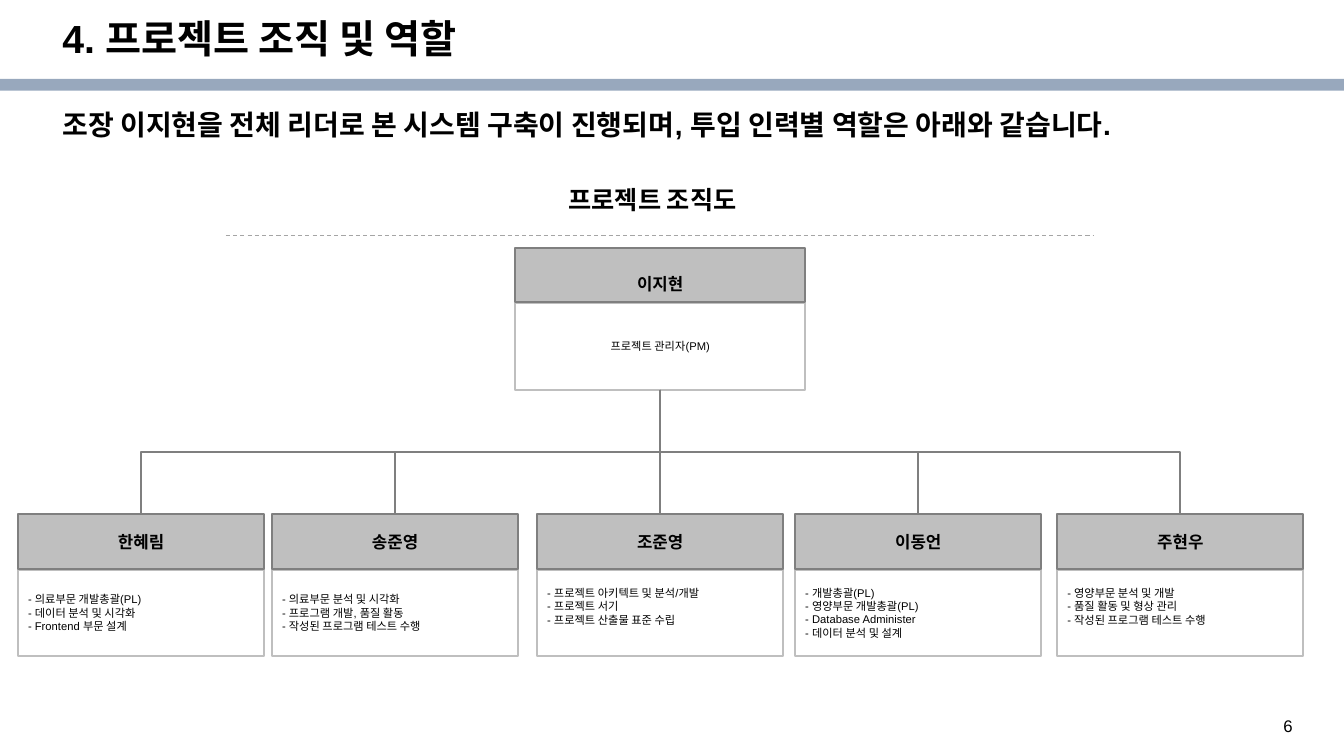
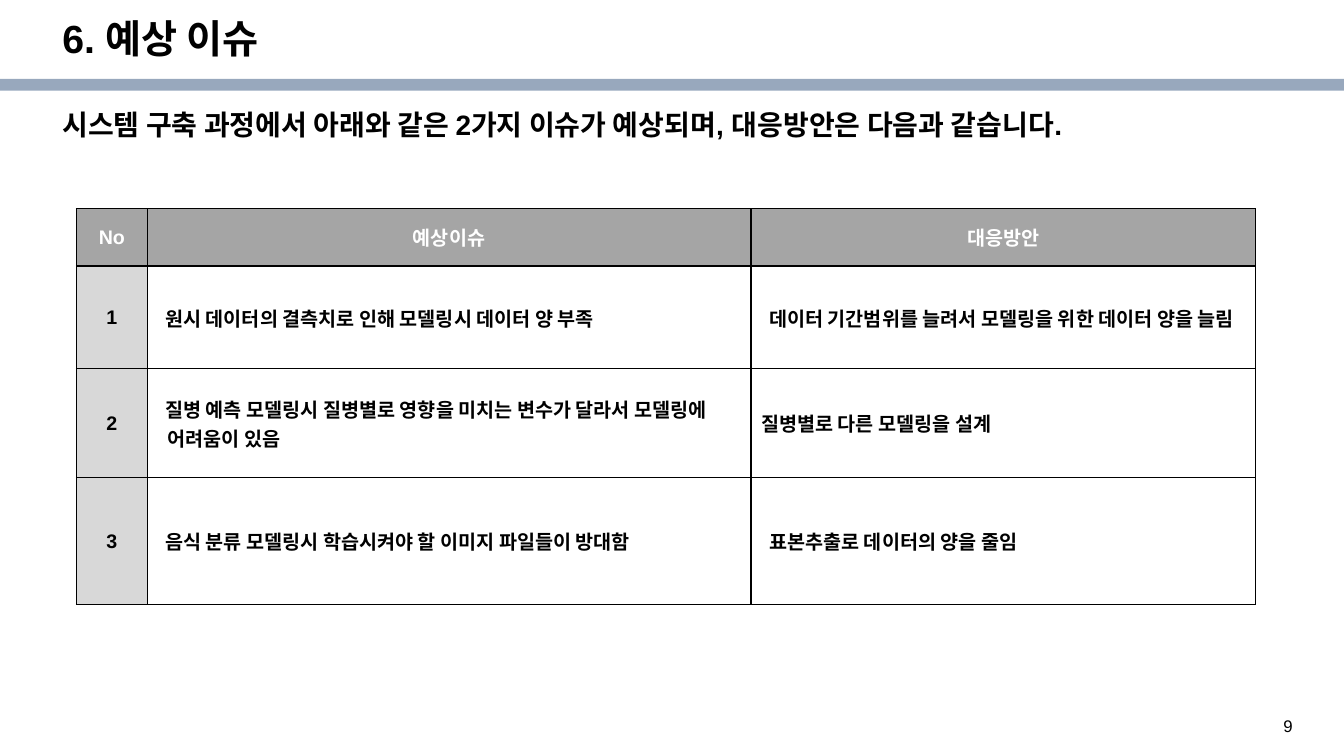
"""Build the project organisation and expected issues slides."""
from lxml import etree
from pptx import Presentation, util as u
from pptx.dml.color import RGBColor
from pptx.enum import dml, shapes, text
from pptx.oxml import ns

UNIT = u.Inches(1) // 12  # grid of 160 columns by 90 rows
COLS, ROWS = 160, 90
FONT = "Arial"
BLACK, WHITE, BAND = "000000", "FFFFFF", "98A8BD"
HEAD, NUMBER = "A5A5A5", "D8D8D8"
SILVER, GREY = "BFBFBF", "7F7F7F"
INSETS = (0.1, 0.05, 0.1, 0.05)
CENTER, MIDDLE = text.PP_ALIGN.CENTER, text.MSO_ANCHOR.MIDDLE

CARD_W, NAME_H, ROLE_TOP, ROLE_H = 29.28, 6.5, 6.6, 10.3
LEAD_W, LEAD_LEFT, LEAD_TOP, TEAM_TOP = 34.56, 61.32, 29.5, 61.2
LINE_GAP = 0.13  # inches, one line of role text

# left column, name, roles, lines left free below the roles
TEAM = [
    (2.16, "한혜림", ["- 의료부문 개발총괄(PL)", "- 데이터 분석 및 시각화",
                   "- Frontend 부문 설계"], 0),
    (32.4, "송준영", ["- 의료부문 분석 및 시각화", "- 프로그램 개발, 품질 활동",
                   "- 작성된 프로그램 테스트 수행"], 0),
    (63.96, "조준영", ["- 프로젝트 아키텍트 및 분석/개발", "- 프로젝트 서기",
                    "- 프로젝트 산출물 표준 수립"], 1),
    (94.68, "이동언", ["- 개발총괄(PL)", "- 영양부문 개발총괄(PL)",
                    "- Database Administer", "- 데이터 분석 및 설계"], 0),
    (125.88, "주현우", ["- 영양부문 분석 및 개발", "- 품질 활동 및 형상 관리",
                     "- 작성된 프로그램 테스트 수행"], 1),
]

ISSUE_COLS = [8.4, 71.9, 60.1]
ISSUE_ROWS = [6.84, 12.24, 12.96, 15.12]
ISSUES = [
    ("No", "예상이슈", "대응방안"),
    ("1", "원시 데이터의 결측치로 인해 모델링시 데이터 양 부족",
     "데이터 기간범위를 늘려서 모델링을 위한 데이터 양을 늘림"),
    ("2", "질병 예측 모델링시 질병별로 영향을 미치는 변수가 달라서 모델링에 어려움이 있음",
     "질병별로 다른 모델링을 설계"),
    ("3", "음식 분류 모델링시 학습시켜야 할 이미지 파일들이 방대함",
     "표본추출로 데이터의 양을 줄임"),
]
FLUSH_CELL = (2, 2)


def rgb(value):
    """Turn a hex string into a colour."""
    return RGBColor.from_string(value)


def grid(*values):
    """Turn grid columns or rows into lengths."""
    return [u.Emu(round(v * UNIT)) for v in values]


def apply(obj, **values):
    """Set several attributes of one object."""
    for name, value in values.items():
        setattr(obj, name, value)


def set_insets(obj, insets):
    """Set the margins, in inches, of a text frame or a cell."""
    sides = ("left", "top", "right", "bottom")
    apply(obj, **{f"margin_{k}": u.Inches(v) for k, v in zip(sides, insets)})


def write(tf, lines, size, bold=False, color=BLACK, **para):
    """Write one paragraph per line in one style."""
    for i, line in enumerate(lines):
        p = tf.paragraphs[0] if i == 0 else tf.add_paragraph()
        apply(p, **para)
        r = p.add_run()
        r.text = line
        apply(r.font, size=u.Pt(size), bold=bold, name=FONT)
        r.font.color.rgb = rgb(color)


def add_label(s, at, line, size, bold=True, **para):
    """Add a text box with one line of text."""
    tf = s.shapes.add_textbox(*grid(*at)).text_frame
    tf.word_wrap = True
    set_insets(tf, INSETS)
    write(tf, [line], size, bold, **para)


def add_box(s, at, fill=None, line=None):
    """Add a plain rectangle and return it."""
    sp = s.shapes.add_shape(shapes.MSO_SHAPE.RECTANGLE, *grid(*at))
    sp.shadow.inherit = False
    if fill:
        sp.fill.solid()
        sp.fill.fore_color.rgb = rgb(fill)
    else:
        sp.fill.background()
    if line:
        sp.line.color.rgb = rgb(line)
        sp.line.width = u.Pt(1.5)
    else:
        sp.line.fill.background()
    return sp


def add_text_box(s, at, lines, size, fill, line, insets=INSETS, bold=False,
                 align=CENTER):
    """Add an outlined rectangle with text centred in its height."""
    tf = add_box(s, at, fill, line).text_frame
    apply(tf, word_wrap=True, vertical_anchor=MIDDLE)
    set_insets(tf, insets)
    write(tf, lines, size, bold, alignment=align)


def add_card(s, left, top, width, name, roles, align, name_pad=0, role_pad=0):
    """Add a name box with a role box below; pads are extra insets."""
    x, y, right, bottom = INSETS
    add_text_box(s, (left, top + ROLE_TOP, width, ROLE_H), roles, 8, None,
                 SILVER, (x, y, right, bottom + role_pad), align=align)
    add_text_box(s, (left, top, width, NAME_H), [name], 12, SILVER, GREY,
                 (x, y + name_pad, right, bottom), bold=True)


def add_line(s, kind, ends, color, width):
    """Add a connector without a shadow and return it."""
    c = s.shapes.add_connector(kind, *grid(*ends))
    c.line.color.rgb = rgb(color)
    c.line.width = u.Pt(width)
    etree.SubElement(c._element.spPr, ns.qn("a:effectLst"))
    return c


def add_branch(s, x1, y1, x2, y2):
    """Add an elbow that runs down, across and down again."""
    drop, reach = y2 - y1, abs(x2 - x1)
    left, top = (x1 + x2 - drop) / 2, (y1 + y2 - reach) / 2
    c = add_line(s, shapes.MSO_CONNECTOR.ELBOW,
                 (left, top, left + drop, top + reach), GREY, 1.5)
    xfrm = c._element.spPr.find(ns.qn("a:xfrm"))
    turn = 90 if x2 < x1 else 270
    xfrm.set("rot", str(turn * 60000))
    if turn == 270:
        xfrm.set("flipH", "1")


def add_borders(cell):
    """Draw a black line on all four sides of a cell."""
    tc_pr = cell._tc.get_or_add_tcPr()
    for i, side in enumerate(("lnL", "lnR", "lnT", "lnB")):
        ln = etree.Element(ns.qn(f"a:{side}"), w=str(u.Pt(1)))
        fill = etree.SubElement(ln, ns.qn("a:solidFill"))
        etree.SubElement(fill, ns.qn("a:srgbClr"), val=BLACK)
        tc_pr.insert(i, ln)


def fill_cell(cell, row, col, line):
    """Style one cell of the issue table by its place."""
    fill = HEAD if row == 0 else NUMBER if col == 0 else None
    if fill:
        cell.fill.solid()
        cell.fill.fore_color.rgb = rgb(fill)
    else:
        cell.fill.background()
    side = 0.05 if row and col == 0 else 0.1
    edge = 0.05 if fill else 0.04
    set_insets(cell, (side, edge, side, edge))
    cell.vertical_anchor = MIDDLE
    write(cell.text_frame, [line], 14, True, BLACK if row else WHITE,
          alignment=CENTER if fill else text.PP_ALIGN.LEFT)
    if not fill and (row, col) != FLUSH_CELL:
        p_pr = cell.text_frame.paragraphs[0]._p.get_or_add_pPr()
        p_pr.set("marL", str(u.Inches(0.1)))
        p_pr.set("indent", str(u.Inches(-0.02)))
    add_borders(cell)


def add_issue_table(s, left, top):
    """Add the table of issues and responses."""
    frame = s.shapes.add_table(len(ISSUE_ROWS), len(ISSUE_COLS), *grid(
        left, top, sum(ISSUE_COLS), sum(ISSUE_ROWS)))
    table = frame.table
    apply(table, first_row=False, horz_banding=False)
    for column, width in zip(table.columns, grid(*ISSUE_COLS)):
        column.width = width
    for row, height in zip(table.rows, grid(*ISSUE_ROWS)):
        row.height = height
    for i, lines in enumerate(ISSUES):
        for j, line in enumerate(lines):
            fill_cell(table.cell(i, j), i, j, line)


def add_page(prs, title, message, number):
    """Add a slide with band, title, message and page number."""
    s = prs.slides.add_slide(prs.slide_layouts[6])
    add_box(s, (0, 9.4, COLS, 1.4), BAND)
    add_label(s, (151.6, 84.6, 6.2, 3.2), number, 12, bold=False)
    add_label(s, (6.25, 1.8, 138, 6.4), title, 28, line_spacing=0.9)
    add_label(s, (6.25, 12.7, 144, 8.5), message, 20, line_spacing=0.9)
    return s


def add_organisation(s):
    """Draw the organisation chart."""
    rule = add_line(s, shapes.MSO_CONNECTOR.STRAIGHT, (26.9, 28, 130.2, 28),
                    HEAD, 0.75)
    rule.line.dash_style = dml.MSO_LINE.DASH
    add_label(s, (66.5, 21.4, 29.3, 4.8), "프로젝트 조직도", 18)
    add_card(s, LEAD_LEFT, LEAD_TOP, LEAD_W, "이지현", ["프로젝트 관리자(PM)"],
             CENTER, name_pad=0.18)
    trunk = LEAD_LEFT + LEAD_W / 2
    for left, name, roles, free in TEAM:
        add_card(s, left, TEAM_TOP, CARD_W, name, roles, text.PP_ALIGN.LEFT,
                 role_pad=free * LINE_GAP)
        add_branch(s, trunk, LEAD_TOP + ROLE_TOP + ROLE_H,
                   left + CARD_W / 2, TEAM_TOP)


def main():
    """Build and save both slides."""
    prs = Presentation()
    prs.slide_width, prs.slide_height = grid(COLS, ROWS)
    s = add_page(prs, "4. 프로젝트 조직 및 역할",
                 "조장 이지현을 전체 리더로 본 시스템 구축이 진행되며, "
                 "투입 인력별 역할은 아래와 같습니다.", "6")
    add_organisation(s)
    s = add_page(prs, "6. 예상 이슈",
                 "시스템 구축 과정에서 아래와 같은 2가지 이슈가 예상되며, "
                 "대응방안은 다음과 같습니다.", "9")
    add_issue_table(s, 9.12, 24.84)
    prs.save("out.pptx")


main()
